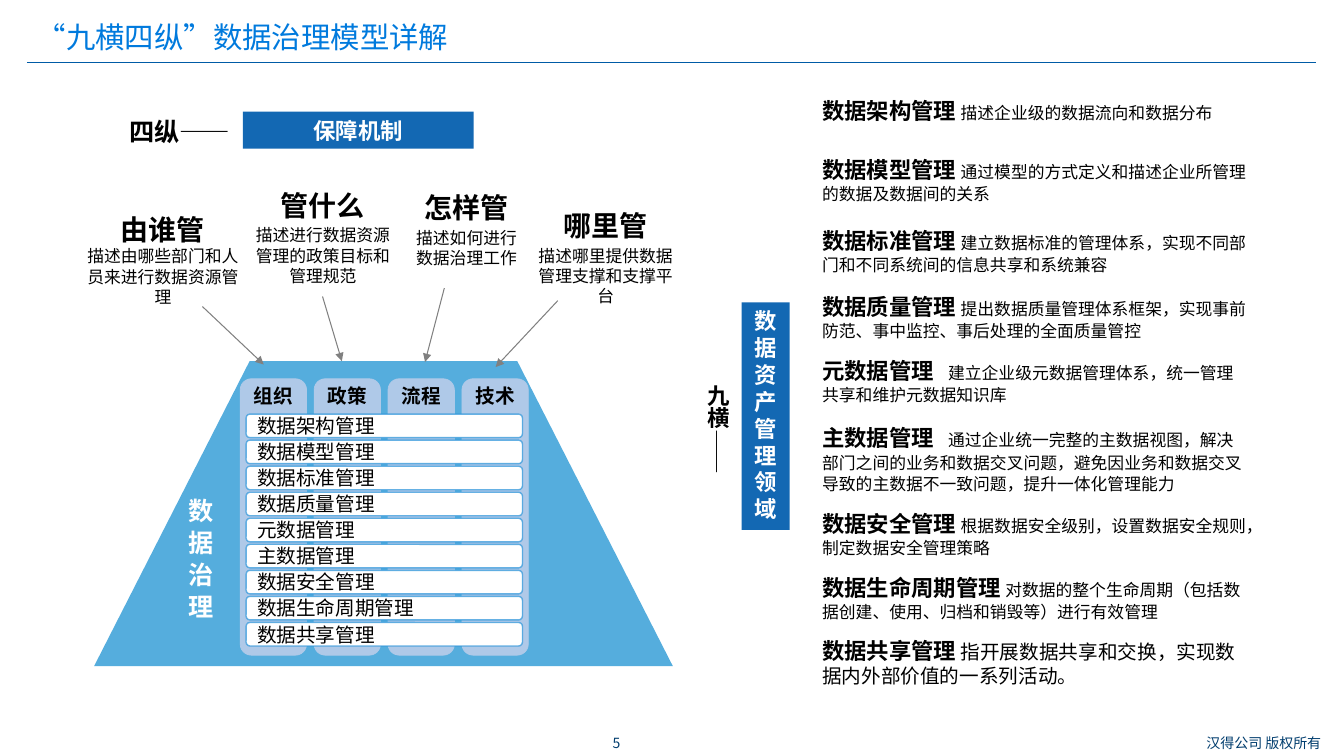
from dataclasses import dataclass

from lxml.etree import SubElement
from pptx import Presentation
from pptx.dml.color import RGBColor
from pptx.enum.lang import MSO_LANGUAGE_ID as Lang
from pptx.enum.shapes import MSO_CONNECTOR as Conn, MSO_SHAPE as Geo
from pptx.enum.text import MSO_ANCHOR as Anchor, PP_ALIGN as Align
from pptx.oxml.ns import qn
from pptx.util import Emu, Inches, Pt

FONT = "Noto Sans CJK SC"
COLORS = {
    "title": "007ADD", "rule": "005BA6", "footer": "003D6E", "bar": "1368B3",
    "trapezoid": "55ADDD", "pillar": "AFC9E8", "row": "3498DB",
    "arrow": "808080", "black": "000000", "white": "FFFFFF",
}
COLS, ROWS = 160, 90
LINE = 1.2

prs = Presentation()
prs.slide_width, prs.slide_height = Inches(13.333), Inches(7.5)
s = prs.slides.add_slide(prs.slide_layouts[6])


@dataclass
class Box:
    col: float
    row: float
    cols: float
    rows: float


@dataclass
class Question:
    head: str
    text: str
    box: Box
    gap: float = 2.4


@dataclass
class Domain:
    name: str
    text: str
    row: float
    size: float = 12
    space: float = 0


@dataclass
class Arrow:
    start: tuple[float, float]
    end: tuple[float, float]


def x(cols: float) -> Emu:
    return Emu(round(prs.slide_width * cols / COLS))


def y(rows: float) -> Emu:
    return Emu(round(prs.slide_height * rows / ROWS))


def rgb(name: str) -> RGBColor:
    return RGBColor.from_string(COLORS[name])


def frame(box: Box):
    return x(box.col), y(box.row), x(box.cols), y(box.rows)


def add_box(box: Box):
    return s.shapes.add_textbox(*frame(box))


def add_shape(geo, box: Box, fill: str, line: str = "", width: float = 0.5):
    sp = s.shapes.add_shape(geo, *frame(box))
    sp.shadow.inherit = False
    sp.fill.solid()
    sp.fill.fore_color.rgb = rgb(fill)
    if line:
        sp.line.color.rgb = rgb(line)
        sp.line.width = Pt(width)
    else:
        sp.line.fill.background()
    return sp


def set_frame(sp, anchor=Anchor.TOP, wrap: bool = True, ins=(0.1, 0.05, 0.1, 0.05)):
    tf = sp.text_frame
    tf.word_wrap = wrap
    tf.vertical_anchor = anchor
    tf.margin_left, tf.margin_top, tf.margin_right, tf.margin_bottom = map(Inches, ins)
    return tf


def set_paragraph(p, align=Align.CENTER, line: float = 14.5, before: float = 0):
    p.alignment = align
    p.line_spacing = Pt(line)
    if before:
        p.space_before = Pt(before)
    return p


def add_text(p, text: str, *, size: float = 12, color: str = "black",
             bold: bool = False, spread: float = 0) -> None:
    r = p.add_run()
    r.text = text
    r.font.size, r.font.bold, r.font.name = Pt(size), bold, FONT
    r.font.color.rgb = rgb(color)
    r.font.language_id = Lang.SIMPLIFIED_CHINESE
    props = r._r.get_or_add_rPr()
    SubElement(props, qn("a:ea"), typeface=FONT)
    if spread:
        props.set("spc", str(round(spread * 100)))


def write(sp, text: str, *, size: float, color: str = "black", bold: bool = False,
          align=Align.CENTER, line: float = 0, **layout):
    p = set_paragraph(set_frame(sp, **layout).paragraphs[0], align, line or size * LINE)
    add_text(p, text, size=size, color=color, bold=bold)
    return p


def add_line(start, end, color: str, arrow: bool = False) -> None:
    sp = s.shapes.add_connector(Conn.STRAIGHT, x(start[0]), y(start[1]), x(end[0]), y(end[1]))
    sp.line.color.rgb = rgb(color)
    sp.line.width = Pt(0.75)
    if arrow:
        SubElement(sp.line._get_or_add_ln(), qn("a:tailEnd"), type="triangle")
    SubElement(sp._element.spPr, qn("a:effectLst"))


def add_domain(domain: Domain) -> None:
    line = 15 if domain.size == 12 else 17
    top = (23.7 - line) / 72
    tf = set_frame(add_box(Box(96.7, domain.row, 53, 6.5)), ins=(0.1, top, 0.1, 0.05))
    p = set_paragraph(tf.paragraphs[0], Align.LEFT, line)
    add_text(p, domain.name, size=16, bold=True)
    add_text(p, " ", size=14, bold=True, spread=domain.space)
    add_text(p, domain.text, size=domain.size)


def add_question(question: Question) -> None:
    tf = set_frame(add_box(question.box))
    add_text(set_paragraph(tf.paragraphs[0], line=24), question.head, size=20, bold=True)
    add_text(set_paragraph(tf.add_paragraph(), before=question.gap), question.text)


DOMAINS = [
    Domain("数据架构管理", "描述企业级的数据流向和数据分布", 10.8),
    Domain("数据模型管理", "通过模型的方式定义和描述企业所管理的数据及数据间的关系", 17.8),
    Domain("数据标准管理", "建立数据标准的管理体系，实现不同部门和不同系统间的信息共享和系统兼容", 26.3),
    Domain("数据质量管理", "提出数据质量管理体系框架，实现事前防范、事中监控、事后处理的全面质量管控", 34.1),
    Domain("元数据管理", "建立企业级元数据管理体系，统一管理共享和维护元数据知识库", 41.8, space=7),
    Domain("主数据管理", "通过企业统一完整的主数据视图，解决部门之间的业务和数据交叉问题，"
           "避免因业务和数据交叉导致的主数据不一致问题，提升一体化管理能力", 49.8, space=7),
    Domain("数据安全管理", "根据数据安全级别，设置数据安全规则，制定数据安全管理策略", 60),
    Domain("数据生命周期管理", "对数据的整个生命周期（包括数据创建、使用、归档和销毁等）进行有效管理", 67.6),
    Domain("数据共享管理", "指开展数据共享和交换，实现数据内外部价值的一系列活动。", 75.1, size=14),
]
QUESTIONS = [
    Question("由谁管", "描述由哪些部门和人员来进行数据资源管理", Box(9.2, 24.7, 20.4, 12.5), 0),
    Question("管什么", "描述进行数据资源管理的政策目标和管理规范", Box(28.6, 21.8, 19.7, 13.4)),
    Question("怎样管", "描述如何进行数据治理工作", Box(47.5, 22.1, 16.1, 10.6)),
    Question("哪里管", "描述哪里提供数据管理支撑和支撑平台", Box(62.9, 24.2, 18.4, 13)),
]
ARROWS = [
    Arrow((24.1, 36.5), (31.4, 43.4)),
    Arrow((38.4, 35.3), (40.7, 43)),
    Arrow((52.9, 34.3), (50.6, 43.1)),
    Arrow((66.4, 35.8), (59, 43.7)),
]
PILLARS = ["组织", "政策", "流程", "技术"]

write(add_box(Box(69.2, 86.8, 8.4, 3.2)), "5", size=10, color="footer", anchor=Anchor.MIDDLE)
write(add_box(Box(140.9, 86.8, 19.1, 3.2)), "汉得公司 版权所有", size=10, color="footer",
      anchor=Anchor.MIDDLE)
add_line((3.2, 7.4), (156.7, 7.4), "rule")
write(add_box(Box(3.2, 2.1, 138.8, 5)), "“九横四纵”数据治理模型详解", size=21, color="title",
      align=Align.LEFT, line=22.7)

for domain in DOMAINS:
    add_domain(domain)
for question in QUESTIONS:
    add_question(question)

write(add_shape(Geo.RECTANGLE, Box(28.9, 13.3, 27.5, 4.4), "bar"), "保障机制",
      size=16, color="white", bold=True)
trapezoid = add_shape(Geo.TRAPEZOID, Box(11.2, 43, 68.9, 36.3), "trapezoid")
trapezoid.adjustments[0] = 0.51

for i, name in enumerate(PILLARS):
    sp = add_shape(Geo.ROUNDED_RECTANGLE, Box(28.6 + 8.8 * i, 45.1, 7.9, 32.9), "pillar", "pillar")
    write(sp, name, size=14, bold=True, line=15, ins=(0.05, 0.04, 0.05, 0.05))

for i, domain in enumerate(DOMAINS):
    sp = add_shape(Geo.ROUNDED_RECTANGLE, Box(29.3, 49.3 + 3.1 * i, 32.9, 2.8), "white", "row", 1)
    color = sp.line._get_or_add_ln().find(".//" + qn("a:srgbClr"))
    SubElement(color, qn("a:alpha"), val="75000")
    write(sp, domain.name, size=14, align=Align.LEFT, anchor=Anchor.MIDDLE, wrap=False)

write(add_box(Box(21.5, 64, 5, 4.7)), "数据治理", size=18, color="white", bold=True, line=22.9,
      anchor=Anchor.MIDDLE, ins=(0.08, 0, 0.08, 0))
for arrow in ARROWS:
    add_line(arrow.start, arrow.end, "arrow", arrow=True)

write(add_shape(Geo.RECTANGLE, Box(88.3, 36, 5.7, 27.1), "bar"), "数据资产管理领域",
      size=16, color="white", bold=True)
nine = add_box(Box(82, 44.6, 5.6, 13.3))
p = write(nine, "九横", size=16, bold=True, align=Align.LEFT)
add_text(p, "——", size=16)
nine.text_frame._txBody.bodyPr.set("vert", "eaVert")
p = write(add_box(Box(14.2, 13.3, 15, 4.8)), "四纵", size=18, bold=True, align=Align.LEFT,
          wrap=False)
add_text(p, "——", size=18)

prs.save("out.pptx")
